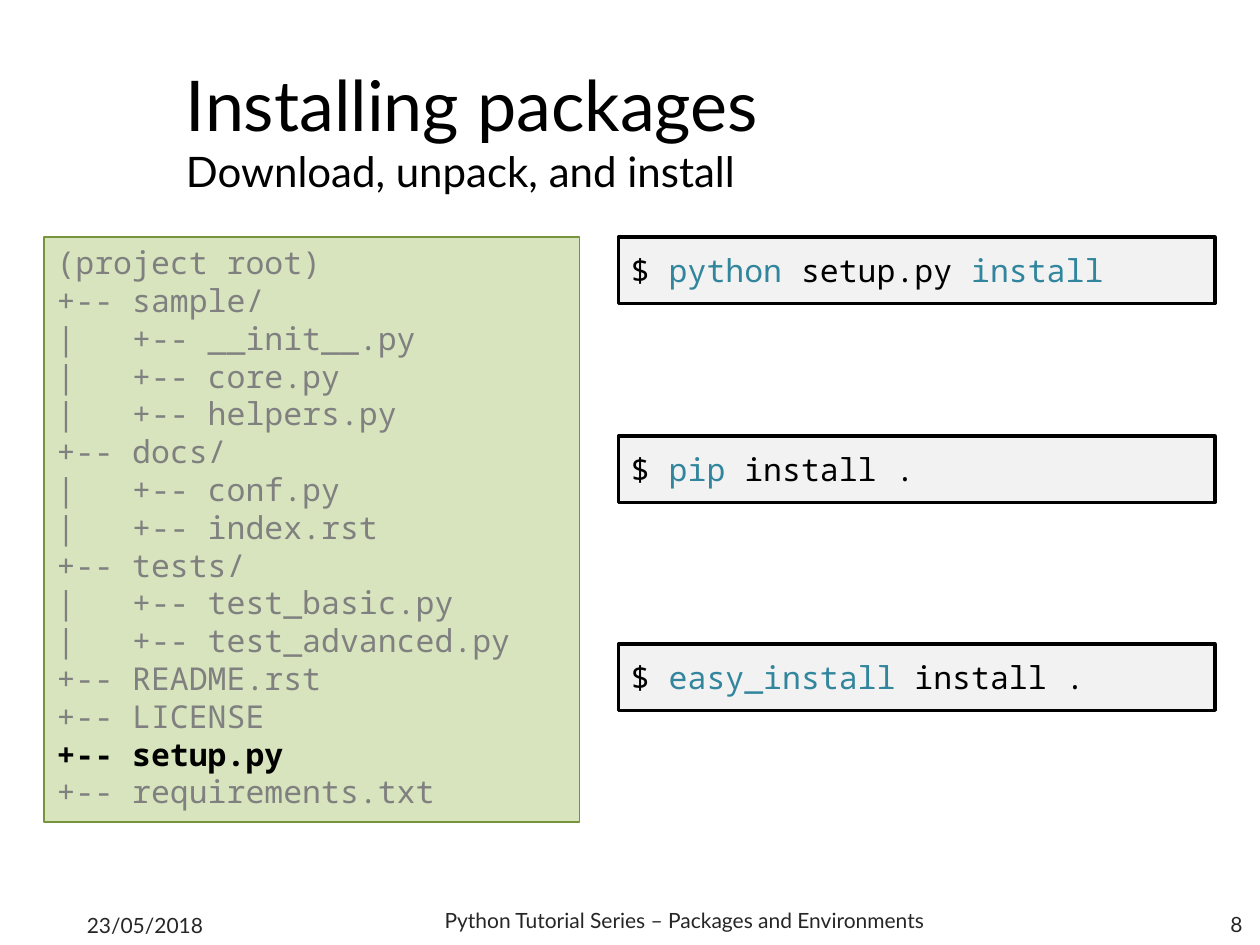
from typing import NamedTuple

from pptx import Presentation
from pptx.dml.color import RGBColor
from pptx.enum.shapes import MSO_SHAPE as Shape
from pptx.enum.text import MSO_ANCHOR as Anchor, PP_ALIGN as Align
from pptx.util import Cm, Pt

BLACK = RGBColor(0x00, 0x00, 0x00)
DARK = RGBColor(0x26, 0x26, 0x26)
GREY = RGBColor(0x80, 0x80, 0x80)
PALE = RGBColor(0xF2, 0xF2, 0xF2)
TEAL = RGBColor(0x31, 0x85, 0x9C)
LIME = RGBColor(0xD7, 0xE4, 0xBD)
GREEN = RGBColor(0x77, 0x93, 0x3C)

SANS = "Lato"
MONO = "Noto Sans Mono"


class Box(NamedTuple):
    left: float
    top: float
    width: float
    height: float

    def lengths(self) -> list:
        return [Cm(value) for value in self]


class Label(NamedTuple):
    text: str
    box: Box
    align: Align


class Command(NamedTuple):
    top: float
    words: tuple[tuple[str, RGBColor], ...]


LABELS = (
    Label("23/05/2018", Box(1.5, 18.14, 5.92, 1.02), Align.LEFT),
    Label("8", Box(19.38, 18.11, 5.92, 1.02), Align.RIGHT),
    Label("Python Tutorial Series – Packages and Environments",
          Box(8, 18.03, 11.6, 1.02), Align.CENTER),
)

COMMANDS = (
    Command(4.78, (("$ ", BLACK), ("python ", TEAL),
                   ("setup.py ", BLACK), ("install", TEAL))),
    Command(8.79, (("$ ", BLACK), ("pip", TEAL), (" install .", BLACK))),
    Command(12.98, (("$ ", BLACK), ("easy_install ", TEAL),
                    ("install .", BLACK))),
)

KEY = "+-- setup.py"
TREE = f"""(project root)
+-- sample/
|   +-- __init__.py
|   +-- core.py
|   +-- helpers.py
+-- docs/
|   +-- conf.py
|   +-- index.rst
+-- tests/
|   +-- test_basic.py
|   +-- test_advanced.py
+-- README.rst
+-- LICENSE
{KEY}
+-- requirements.txt"""


def style(run, face: str, size: float, color: RGBColor, bold: bool = False) -> None:
    font = run.font
    font.name, font.size, font.bold = face, Pt(size), bold
    font.color.rgb = color


def add_text(slide, box: Box, text: str, anchor: Anchor):
    frame = slide.shapes.add_textbox(*box.lengths()).text_frame
    frame.word_wrap = True
    frame.vertical_anchor = anchor
    frame.text = text
    return frame


def add_panel(slide, box: Box, fill: RGBColor, line: RGBColor,
              weight: float, anchor: Anchor):
    """Draw a bordered rectangle and return its text frame."""
    panel = slide.shapes.add_shape(Shape.RECTANGLE, *box.lengths())
    panel.shadow.inherit = False
    panel.fill.solid()
    panel.fill.fore_color.rgb = fill
    panel.line.color.rgb = line
    panel.line.width = Pt(weight)
    frame = panel.text_frame
    frame.word_wrap = True
    frame.vertical_anchor = anchor
    return frame


def add_label(slide, label: Label) -> None:
    frame = add_text(slide, label.box, label.text, Anchor.MIDDLE)
    para = frame.paragraphs[0]
    para.alignment = label.align
    style(para.runs[0], SANS, 12, DARK)


def add_command(slide, command: Command) -> None:
    box = Box(12.47, command.top, 12.02, 1.34)
    frame = add_panel(slide, box, PALE, BLACK, 2, Anchor.MIDDLE)
    para = frame.paragraphs[0]
    para.alignment = Align.LEFT
    for text, color in command.words:
        run = para.add_run()
        run.text = text
        style(run, MONO, 18, color)


def add_tree(slide) -> None:
    box = Box(0.89, 4.78, 10.8, 11.79)
    frame = add_panel(slide, box, LIME, GREEN, 0.75, Anchor.TOP)
    frame.text = TREE
    for para in frame.paragraphs:
        para.alignment = Align.LEFT
        para.line_spacing = Pt(21.6)
        key = para.text == KEY
        style(para.runs[0], MONO, 18, BLACK if key else GREY, key)


def add_title(slide) -> None:
    text = "Installing packages\nDownload, unpack, and install"
    frame = add_text(slide, Box(3.5, 1.12, 20.62, 2), text, Anchor.TOP)
    for para, size in zip(frame.paragraphs, (40, 24)):
        style(para.runs[0], SANS, size, BLACK)


def main() -> None:
    deck = Presentation()
    deck.slide_width, deck.slide_height = Cm(25.4), Cm(19.05)
    slide = deck.slides.add_slide(deck.slide_layouts[6])
    for label in LABELS:
        add_label(slide, label)
    for command in COMMANDS:
        add_command(slide, command)
    add_tree(slide)
    add_title(slide)
    deck.save("out.pptx")


if __name__ == "__main__":
    main()
